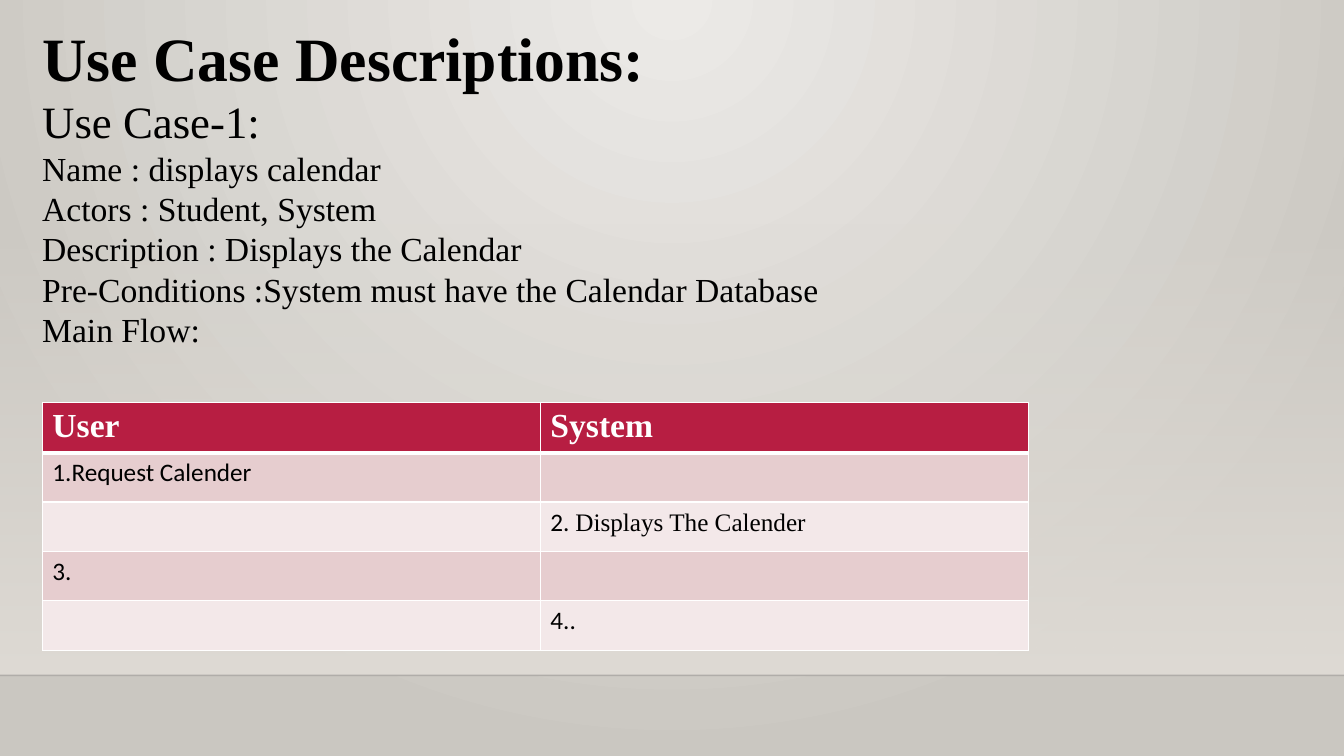
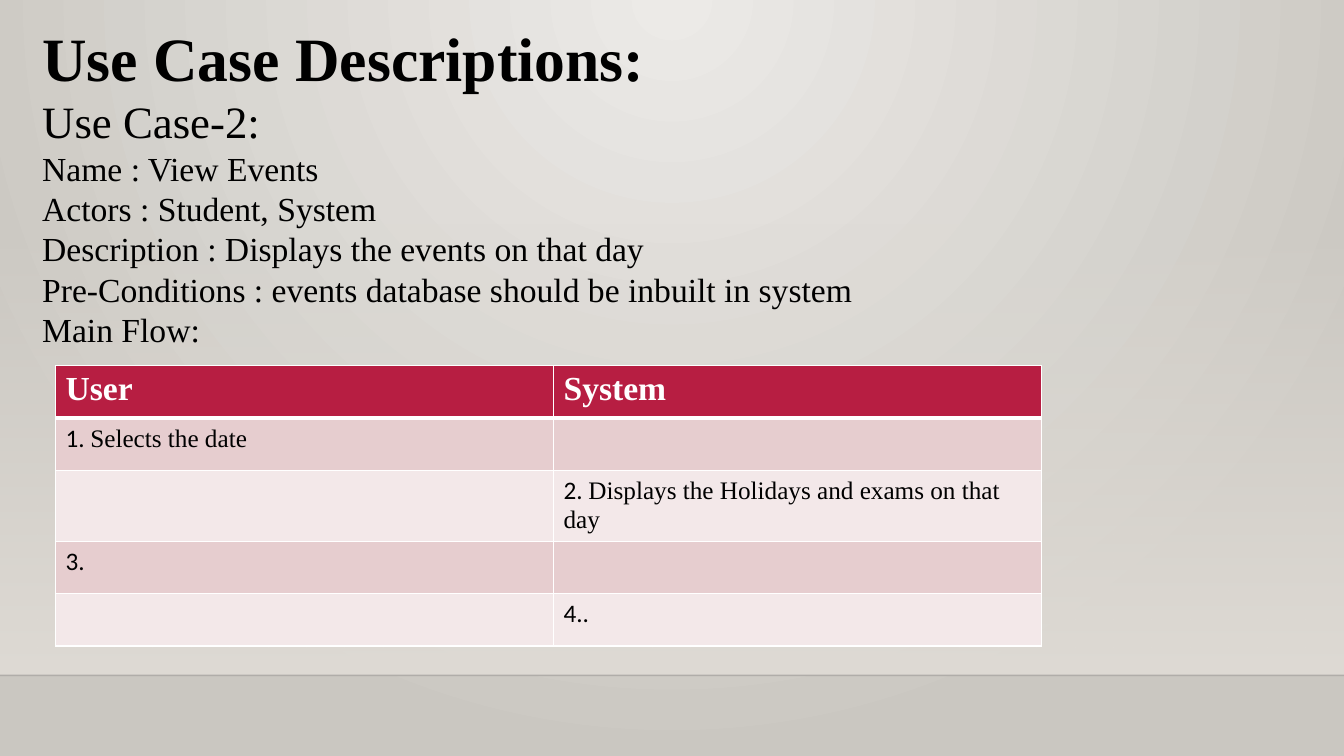
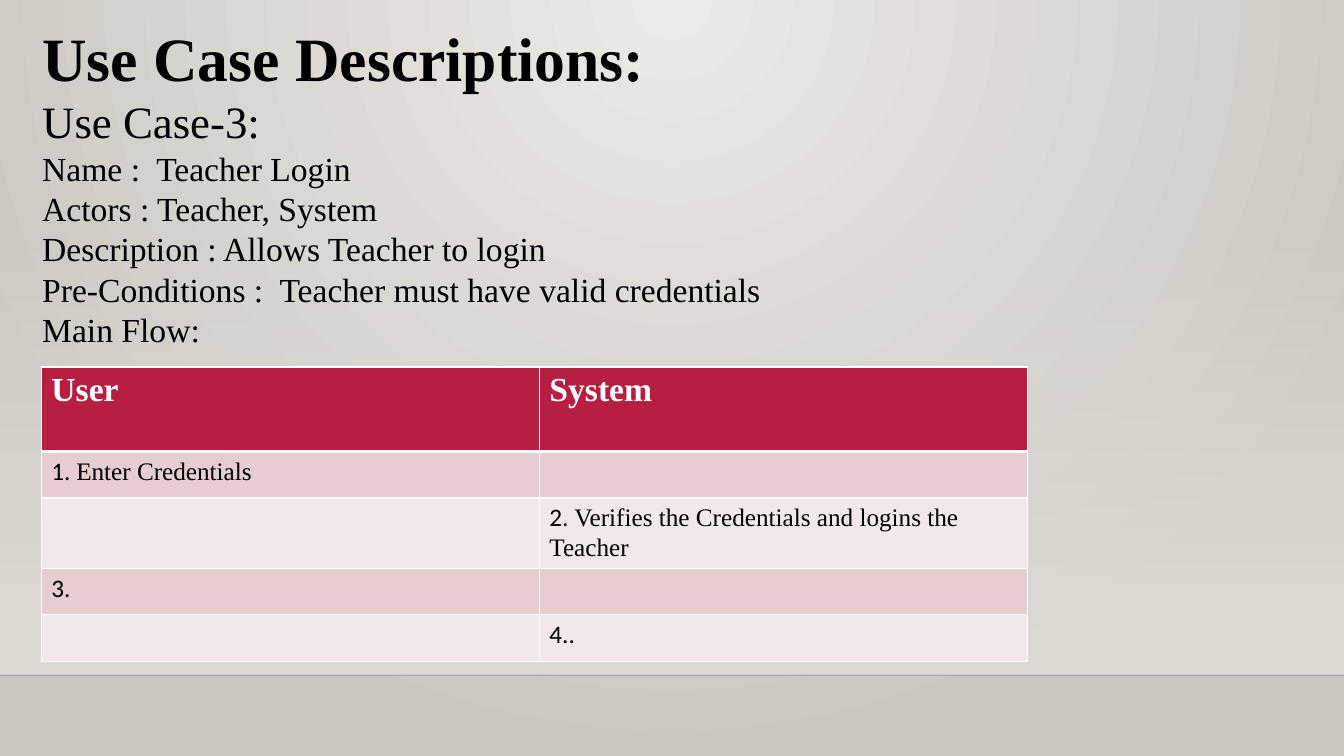
from lxml import etree
from pptx import Presentation
from pptx.dml.color import RGBColor
from pptx.enum.shapes import MSO_CONNECTOR, MSO_SHAPE
from pptx.enum.text import MSO_AUTO_SIZE
from pptx.oxml.ns import qn
from pptx.util import Inches, Pt

RECTANGLE = MSO_SHAPE.RECTANGLE
STRAIGHT = MSO_CONNECTOR.STRAIGHT
GROW = MSO_AUTO_SIZE.SHAPE_TO_FIT_TEXT

SERIF, SANS = "Times New Roman", "Calibri"
BLACK, WHITE, CRIMSON = "000000", "FFFFFF", "B71E42"
ROW_BANDS = ["F3E8E9", "E6CDCF"]
GLOW, EDGE, FLOOR = "ECEAE7", "CAC7C1", "DFDBD5"

WIDTH, HEIGHT = Inches(13.33), Inches(7.5)
BAND_TOP, BAND_BOTTOM = Inches(2.21), Inches(6.7)
TEXT_LEFT, TEXT_TOP = Inches(0.32), Inches(0.15)
COLUMN_WIDTHS = [4.94, 4.84]
TITLE = "Use Case Descriptions:"
TEXT_SIZES = [44, 32, 24, 24, 24, 24, 24]

USE_CASES = [
    {
        "name": "Name : displays calendar",
        "actors": "Actors : Student, System",
        "description": "Description : Displays the Calendar",
        "conditions": "Pre-Conditions :System must have the Calendar Database",
        "request": ("1.Request Calender", ""),
        "response": ("2. ", "Displays The Calender"),
        "corner": (0.42, 3.99),
        "rows": [0.49, 0.49, 0.49, 0.49, 0.49],
    },
    {
        "name": "Name : View Events",
        "actors": "Actors : Student, System",
        "description": "Description : Displays the events on that day",
        "conditions": "Pre-Conditions : events database should be inbuilt in system",
        "request": ("1. ", "Selects the date"),
        "response": ("2. ", "Displays the Holidays and exams on that day"),
        "corner": (0.55, 3.63),
        "rows": [0.52, 0.52, 0.7, 0.52, 0.52],
    },
    {
        "name": "Name :  Teacher Login",
        "actors": "Actors : Teacher, System",
        "description": "Description : Allows Teacher to login",
        "conditions": "Pre-Conditions :  Teacher must have valid credentials",
        "request": ("1. ", "Enter Credentials"),
        "response": ("2. ", "Verifies the Credentials and logins the Teacher"),
        "corner": (0.41, 3.64),
        "rows": [0.84, 0.46, 0.7, 0.46, 0.46],
    },
]


def color(value):
    return RGBColor.from_string(value)


def style(span, font, size, shade, bold=False):
    span.font.name = font
    span.font.size = Pt(size)
    span.font.color.rgb = color(shade)
    span.font.bold = bold


deck = Presentation()
deck.slide_width, deck.slide_height = WIDTH, HEIGHT

backdrop = deck.slide_master.background.fill
backdrop.gradient()
for stop, shade in zip(backdrop.gradient_stops, [GLOW, EDGE]):
    stop.color.rgb = color(shade)
gradient = deck.slide_master.element.find(".//" + qn("a:gradFill"))
gradient.remove(gradient.find(qn("a:lin")))
circle = etree.SubElement(gradient, qn("a:path"), path="circle")
etree.SubElement(circle, qn("a:fillToRect"), l="43000", t="0", r="43000", b="100000")

for number, case in enumerate(USE_CASES, start=1):
    page = deck.slides.add_slide(deck.slide_layouts[6])

    band = page.shapes.add_shape(RECTANGLE, 0, BAND_TOP, WIDTH, BAND_BOTTOM - BAND_TOP)
    band.shadow.inherit = False
    band.line.fill.background()
    band.fill.gradient()
    band.fill.gradient_angle = 270
    for stop in band.fill.gradient_stops:
        stop.color.rgb = color(FLOOR)
    clear_stop = band.element.find(".//" + qn("a:srgbClr"))
    etree.SubElement(clear_stop, qn("a:alpha"), val="0")

    horizon = page.shapes.add_connector(STRAIGHT, 0, BAND_BOTTOM, WIDTH, BAND_BOTTOM)
    horizon.line.color.rgb = color("000001")
    horizon.line.width = Pt(1)
    horizon_shade = horizon.element.find(".//" + qn("a:srgbClr"))
    etree.SubElement(horizon_shade, qn("a:alpha"), val="20000")
    etree.SubElement(horizon.element.spPr, qn("a:effectLst"))

    box = page.shapes.add_textbox(TEXT_LEFT, TEXT_TOP, WIDTH - TEXT_LEFT, Inches(4.34))
    frame = box.text_frame
    frame.word_wrap = True
    frame.auto_size = GROW
    frame.text = "\n".join([
        TITLE, f"Use Case-{number}:", case["name"], case["actors"],
        case["description"], case["conditions"], "Main Flow:",
    ])
    for para, size in zip(frame.paragraphs, TEXT_SIZES):
        style(para.runs[0], SERIF, size, BLACK, bold=para.text == TITLE)

    left, top = case["corner"]
    holder = page.shapes.add_table(
        5, 2, Inches(left), Inches(top),
        Inches(sum(COLUMN_WIDTHS)), Inches(sum(case["rows"])))
    table = holder.table
    table.horz_banding = False
    for column, width in zip(table.columns, COLUMN_WIDTHS):
        column.width = Inches(width)
    for row, height in zip(table.rows, case["rows"]):
        row.height = Inches(height)

    flow = [
        [("", "User"), ("", "System")],
        [case["request"], ("", "")],
        [("", ""), case["response"]],
        [("3.", ""), ("", "")],
        [("", ""), ("4..", "")],
    ]
    for row_index, steps in enumerate(flow):
        header = row_index == 0
        for column_index, step in enumerate(steps):
            cell = table.cell(row_index, column_index)
            properties = cell._tc.get_or_add_tcPr()
            for side in ["L", "R", "T", "B"]:
                heavy = (row_index, side) in [(0, "B"), (1, "T")]
                border = etree.SubElement(
                    properties, qn("a:ln" + side), w=str(Pt(3 if heavy else 1)))
                paint = etree.SubElement(border, qn("a:solidFill"))
                etree.SubElement(paint, qn("a:srgbClr"), val=WHITE)
            cell.fill.solid()
            cell.fill.fore_color.rgb = color(CRIMSON if header else ROW_BANDS[row_index % 2])
            para = cell.text_frame.paragraphs[0]
            for words, font in zip(step, [SANS, SERIF]):
                if words:
                    span = para.add_run()
                    span.text = words
                    style(span, font, 24 if header else 18, WHITE if header else BLACK, header)

deck.save("out.pptx")
